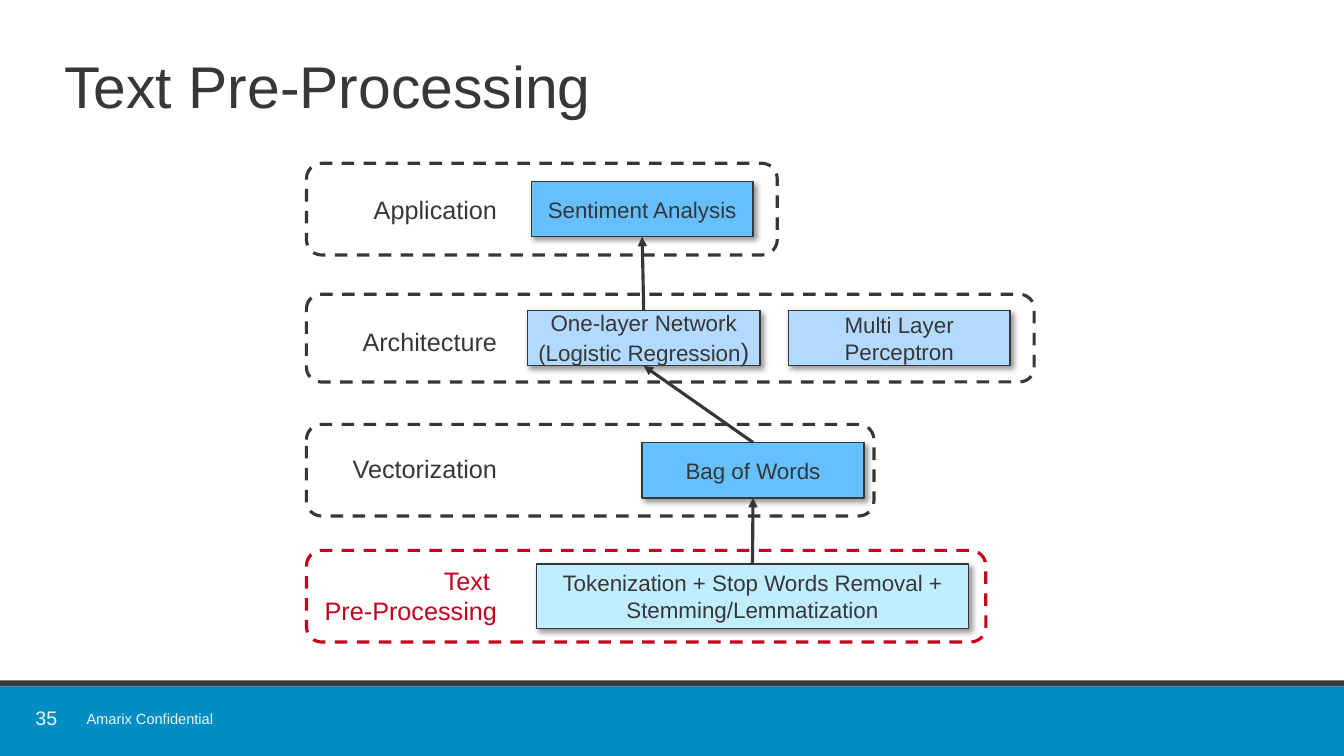
from dataclasses import dataclass

from lxml import etree
from pptx import Presentation
from pptx.dml.color import RGBColor
from pptx.enum.dml import MSO_LINE
from pptx.enum.shapes import MSO_CONNECTOR, MSO_SHAPE
from pptx.enum.text import MSO_ANCHOR, MSO_AUTO_SIZE, PP_ALIGN
from pptx.oxml import parse_xml
from pptx.oxml.ns import nsdecls, qn
from pptx.util import Inches, Pt

RECT, ROUND = MSO_SHAPE.RECTANGLE, MSO_SHAPE.ROUNDED_RECTANGLE
STRAIGHT, DASH = MSO_CONNECTOR.STRAIGHT, MSO_LINE.DASH
LEFT, CENTER, RIGHT = PP_ALIGN.LEFT, PP_ALIGN.CENTER, PP_ALIGN.RIGHT
TOP, MIDDLE = MSO_ANCHOR.TOP, MSO_ANCHOR.MIDDLE
NO_FIT = MSO_AUTO_SIZE.NONE


@dataclass(frozen=True)
class Theme:
    font: str = "Arial"
    ink: str = "373737"
    red: str = "C7001E"
    sky: str = "66BFFF"
    pale: str = "B2D9FF"
    ice: str = "C0EDFF"
    bar: str = "008DC4"
    rule: str = "383D3B"
    light: str = "F2F2F2"
    title: float = 42
    label: float = 18
    box: float = 16
    page: float = 14
    foot: float = 10.5
    thin: float = 1
    thick: float = 2.25


THEME = Theme()

TITLE = "Text Pre-Processing"
PAGE = "35"
FOOTER = "Amarix Confidential"

# Each layer: label lines, colour, top, width, height, label shift, boxes.
# Each box: name, text lines, left, width, height, fill.
LAYERS = [
    (["Application"], THEME.ink, 21.6, 35.03, 12.13, 0, [
        ("goal", ["Sentiment Analysis"], 39.53, 16.5, 7.33, THEME.sky)]),
    (["Architecture"], THEME.ink, 38.93, 54.15, 11.6, 0.47, [
        ("net", ["One-layer Network", ("(Logistic Regression", (")", THEME.label))],
         39.23, 17.33, 7.33, THEME.pale),
        ("deep", ["Multi Layer Perceptron"], 58.65, 16.5, 7.33, THEME.pale)]),
    (["Vectorization"], THEME.ink, 56.13, 42.23, 12.13, -0.2, [
        ("bag", ["Bag of Words"], 47.78, 16.5, 7.33, THEME.sky)]),
    (["Text ", "Pre-Processing"], THEME.red, 72.8, 50.55, 12.13, -0.13, [
        ("prep", ["Tokenization + Stop Words Removal + Stemming/Lemmatization"],
         39.9, 32.18, 8.53, THEME.ice)]),
]
ARROWS = [("prep", "bag"), ("bag", "net"), ("net", "goal")]
EDGE, LABEL_LEFT, LABEL_WIDTH = 22.8, 18.3, 19.42

deck = Presentation()
deck.slide_width, deck.slide_height = Inches(13.33), Inches(7.5)
slide = deck.slides.add_slide(deck.slide_layouts[5])
shapes = slide.shapes


def place(left, top, width, height):
    wide, high = deck.slide_width / 100, deck.slide_height / 100
    return [round(n) for n in (left * wide, top * high, width * wide, height * high)]


def write(shape, lines, size, color=THEME.ink, align=CENTER, anchor=MIDDLE,
          wrap=True, inset=None, lead=None):
    frame = shape.text_frame
    frame.word_wrap, frame.auto_size, frame.vertical_anchor = wrap, NO_FIT, anchor
    if inset is not None:
        frame.margin_left = frame.margin_right = inset
        frame.margin_top = frame.margin_bottom = inset
    for i, line in enumerate(lines):
        para = frame.add_paragraph() if i else frame.paragraphs[0]
        para.alignment = align
        if lead:
            para.line_spacing = lead
        for part in line if isinstance(line, tuple) else (line,):
            words, points = part if isinstance(part, tuple) else (part, size)
            run = para.add_run()
            run.text = words
            run.font.name, run.font.size = THEME.font, Pt(points)
            run.font.color.rgb = RGBColor.from_string(color)


def block(kind, area, fill=None, line=None, width=THEME.thin):
    shape = shapes.add_shape(kind, *place(*area))
    shape.shadow.inherit = False
    if fill:
        shape.fill.solid()
        shape.fill.fore_color.rgb = RGBColor.from_string(fill)
    else:
        shape.fill.background()
    if line:
        shape.line.color.rgb = RGBColor.from_string(line)
        shape.line.width = Pt(width)
    else:
        shape.line.fill.background()
    return shape


def shade(shape):
    effects = shape._element.spPr.find(qn("a:effectLst"))
    effects.append(parse_xml(
        f'<a:outerShdw {nsdecls("a")} blurRad="{Pt(4)}" dist="{Pt(3)}" '
        'dir="2700000" algn="tl" rotWithShape="0"><a:srgbClr val="000000">'
        '<a:alpha val="40000"/></a:srgbClr></a:outerShdw>'))


def join(start, end):
    arrow = shapes.add_connector(STRAIGHT, 0, 0, 0, 0)
    arrow.begin_connect(start, 0)
    arrow.end_connect(end, 2)
    arrow.line.color.rgb = RGBColor.from_string(THEME.ink)
    arrow.line.width = Pt(THEME.thick)
    etree.SubElement(arrow.line._get_or_add_ln(), qn("a:tailEnd"), type="triangle")
    etree.SubElement(arrow._element.spPr, qn("a:effectLst"))


def textbox(area, lines, size, **style):
    write(shapes.add_textbox(*place(*area)), lines, size, **style)


block(RECT, (0, 90.8, 100, 9.2), fill=THEME.bar)
block(RECT, (0, 90, 100, 0.8), fill=THEME.rule)
textbox((2.48, 93.6, 1.95, 3.07), [PAGE], THEME.page, color=THEME.light, inset=0,
        lead=0.9, wrap=False)
textbox((5.7, 93.2, 12, 3.73), [FOOTER], THEME.foot, color=THEME.light,
        align=LEFT, anchor=TOP, wrap=False)

title = shapes.title
title.left, title.top, title.width, title.height = place(4.05, 6.93, 88.52, 14.53)
write(title, [TITLE], THEME.title, align=LEFT, anchor=TOP, lead=0.9)

boxes = {}
for label, color, top, width, height, shift, items in LAYERS:
    frame = block(ROUND, (EDGE, top, width, height), line=color, width=THEME.thick)
    frame.line.dash_style = DASH
    textbox((LABEL_LEFT, top + shift, LABEL_WIDTH, height), label, THEME.label,
            color=color, align=RIGHT)
    for name, lines, left, wide, high, fill in items:
        area = (left, top + (height - high) / 2, wide, high)
        boxes[name] = block(RECT, area, fill=fill, line=THEME.ink)
        shade(boxes[name])
        write(boxes[name], lines, THEME.box)

for start, end in ARROWS:
    join(boxes[start], boxes[end])

deck.save("out.pptx")
